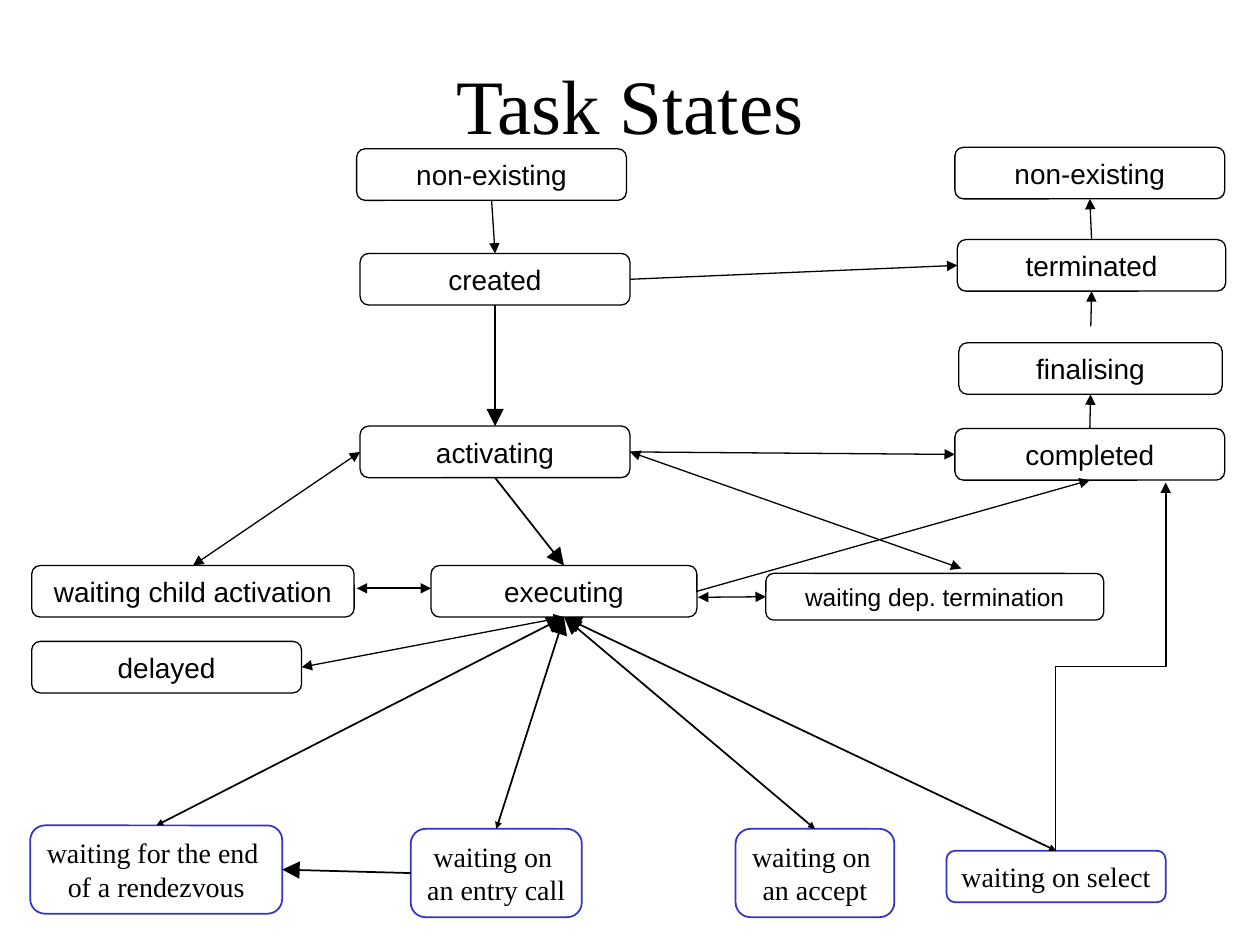
from lxml import etree
from pptx import Presentation
from pptx import util as u
from pptx.dml.color import RGBColor
from pptx.enum import shapes, text
from pptx.oxml.ns import qn

BLACK = RGBColor(0x00, 0x00, 0x00)
BLUE = RGBColor(0x33, 0x33, 0xCC)
SANS, SERIF = "Arial", "Times New Roman"
TOP, LEFT, BOTTOM, RIGHT = range(4)
THIN, THICK = 0.75, 1

LIFECYCLE_HEIGHT = 1.04
LIFECYCLE = {
    "unborn": ("non-existing", 7.19, 3.0, 5.44),
    "created": ("created", 7.26, 5.11, 5.44),
    "activating": ("activating", 7.26, 8.59, 5.44),
    "executing": ("executing", 8.69, 11.4, 5.36),
    "gone": ("non-existing", 19.25, 2.97, 5.44),
    "terminated": ("terminated", 19.3, 4.83, 5.41),
    "finalising": ("finalising", 19.33, 6.91, 5.31),
    "completed": ("completed", 19.25, 8.64, 5.44),
    "child": ("waiting child activation", 0.64, 11.4, 6.5),
    "delayed": ("delayed", 0.64, 12.93, 5.44),
}
DEPENDENT = ("waiting dep. termination", 15.44, 11.56, 6.81)
WAITING = {
    "rendezvous": ("waiting for the end \nof a rendezvous", 0.61, 16.64, 5.08, 1.78),
    "entry": ("waiting on \nan entry call", 8.28, 16.71, 3.45, 1.78),
    "accept": ("waiting on \nan accept", 14.83, 16.71, 3.2, 1.78),
    "select": ("waiting on select", 19.08, 17.15, 4.42, 1.04),
}

# An end is either (state, side) or a free (x, y) point.
TRANSITIONS = [
    (("unborn", BOTTOM), ("created", TOP), THIN, None, "med"),
    (("created", RIGHT), ("terminated", LEFT), THIN, None, "med"),
    (("created", BOTTOM), ("activating", TOP), THICK, None, "lg"),
    (("activating", BOTTOM), ("executing", TOP), THICK, None, "lg"),
    (("activating", RIGHT), ("completed", LEFT), THIN, None, "med"),
    (("executing", RIGHT), ("completed", BOTTOM), THIN, None, "med"),
    (("completed", TOP), ("finalising", BOTTOM), THIN, None, "med"),
    ((21.99, 6.58), ("terminated", BOTTOM), THIN, None, "med"),
    (("terminated", TOP), ("gone", BOTTOM), THIN, None, "med"),
    (("delayed", RIGHT), ("executing", BOTTOM), THIN, "med", "med"),
    (("child", TOP), ("activating", LEFT), THIN, "med", "med"),
    ((7.19, 11.86), (8.69, 11.86), THICK, "med", "med"),
    ((14.07, 12.04), ("dependent", LEFT), THIN, "med", "med"),
    (("activating", RIGHT), (19.38, 11.46), THIN, "med", "med"),
    (("entry", LEFT), ("rendezvous", RIGHT), THICK, None, "lg"),
] + [((state, TOP), ("executing", BOTTOM), THICK, "sm", "lg") for state in WAITING]

SELECT_TO_COMPLETED = (21.28, 17.15), (23.5, 9.73)


def style_text(frame, font_name, size):
    for paragraph in frame.paragraphs:
        paragraph.alignment = text.PP_ALIGN.CENTER
        for run in paragraph.runs:
            run.font.name = font_name
            run.font.size = u.Pt(size)
            run.font.color.rgb = BLACK


def add_state(slide, label, left, top, width, height, font_name, size, color, line_width):
    shape = slide.shapes.add_shape(shapes.MSO_SHAPE.ROUNDED_RECTANGLE,
                                   *map(u.Cm, (left, top, width, height)))
    shape.shadow.inherit = False
    shape.fill.background()
    shape.line.color.rgb = color
    shape.line.width = u.Pt(line_width)
    frame = shape.text_frame
    frame.text = label
    frame.word_wrap = font_name == SANS
    frame.vertical_anchor = text.MSO_ANCHOR.MIDDLE
    style_text(frame, font_name, size)
    return shape


def add_arrow(slide, kind, start, end, width, head, tail):
    connector = slide.shapes.add_connector(kind, *map(u.Cm, (*start, *end)))
    connector.line.color.rgb = BLACK
    connector.line.width = u.Pt(width)
    line = connector.line._get_or_add_ln()
    for tag, size in (("a:headEnd", head), ("a:tailEnd", tail)):
        if size:
            etree.SubElement(line, qn(tag), type="triangle", w=size, len=size)
    etree.SubElement(connector._element.spPr, qn("a:effectLst"))
    return connector


def add_transition(slide, states, start, end, width, head, tail):
    free = [(0, 0) if point[0] in states else point for point in (start, end)]
    connector = add_arrow(slide, shapes.MSO_CONNECTOR.STRAIGHT, *free, width, head, tail)
    for point, connect in ((start, connector.begin_connect), (end, connector.end_connect)):
        if point[0] in states:
            connect(states[point[0]], point[1])


def add_vertical_elbow(slide, start, end):
    center_x, center_y = ((a + b) / 2 for a, b in zip(start, end))
    half_x, half_y = (abs(a - b) / 2 for a, b in zip(start, end))
    connector = add_arrow(slide, shapes.MSO_CONNECTOR.ELBOW,
                          (center_x + half_y, center_y + half_x),
                          (center_x - half_y, center_y - half_x), THICK, None, "med")
    connector._element.spPr.find(qn("a:xfrm")).set("rot", str(90 * 60000))


def main():
    presentation = Presentation()
    presentation.slide_width, presentation.slide_height = u.Cm(25.4), u.Cm(19.05)
    slide = presentation.slides.add_slide(presentation.slide_layouts[6])

    title = slide.shapes.add_textbox(*map(u.Cm, (1.9, 0.5, 21.6, 3.18))).text_frame
    title.word_wrap = True
    title.vertical_anchor = text.MSO_ANCHOR.MIDDLE
    title.text = "Task States"
    style_text(title, SERIF, 44)

    states = {name: add_state(slide, *box, LIFECYCLE_HEIGHT, SANS, 16, BLACK, THIN)
              for name, box in LIFECYCLE.items()}
    states["dependent"] = add_state(slide, *DEPENDENT, 0.94, SANS, 14, BLACK, THIN)
    for name, box in WAITING.items():
        states[name] = add_state(slide, *box, SERIF, 16, BLUE, THICK)

    for transition in TRANSITIONS:
        add_transition(slide, states, *transition)
    add_vertical_elbow(slide, *SELECT_TO_COMPLETED)

    presentation.save("out.pptx")


if __name__ == "__main__":
    main()
